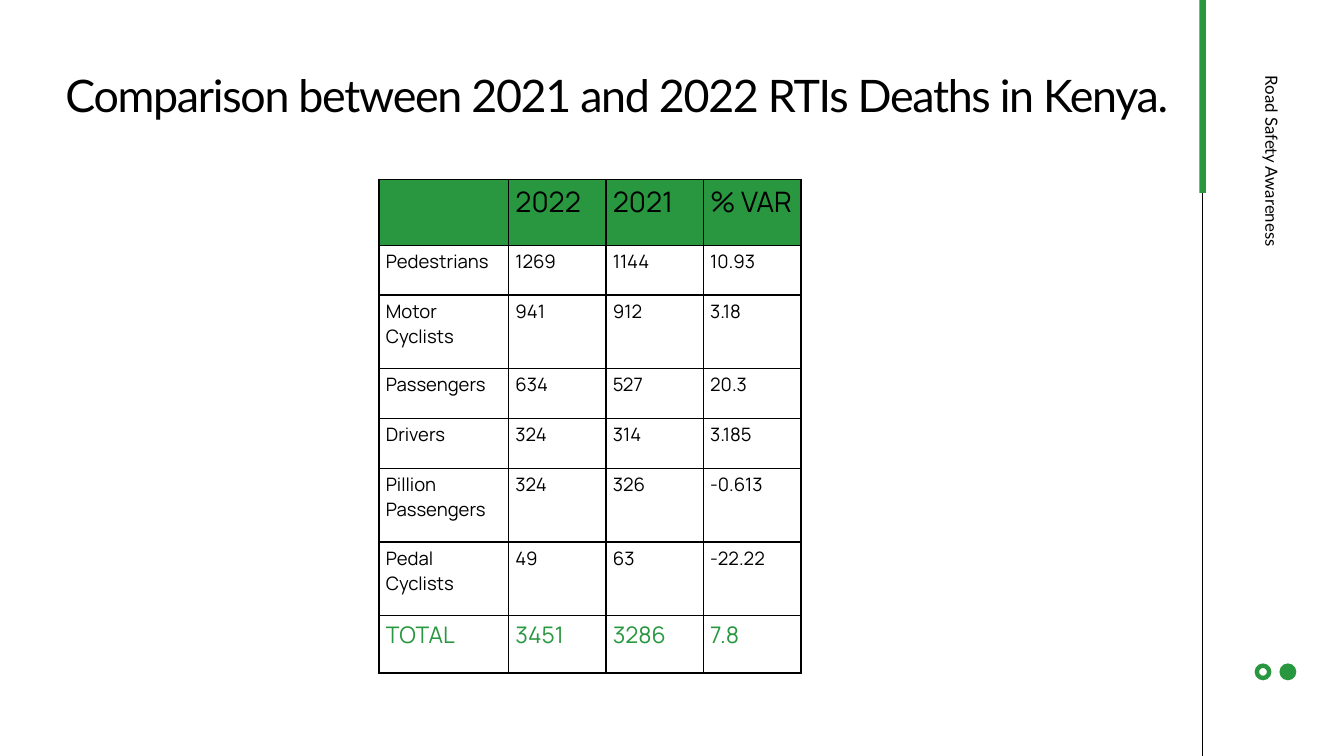
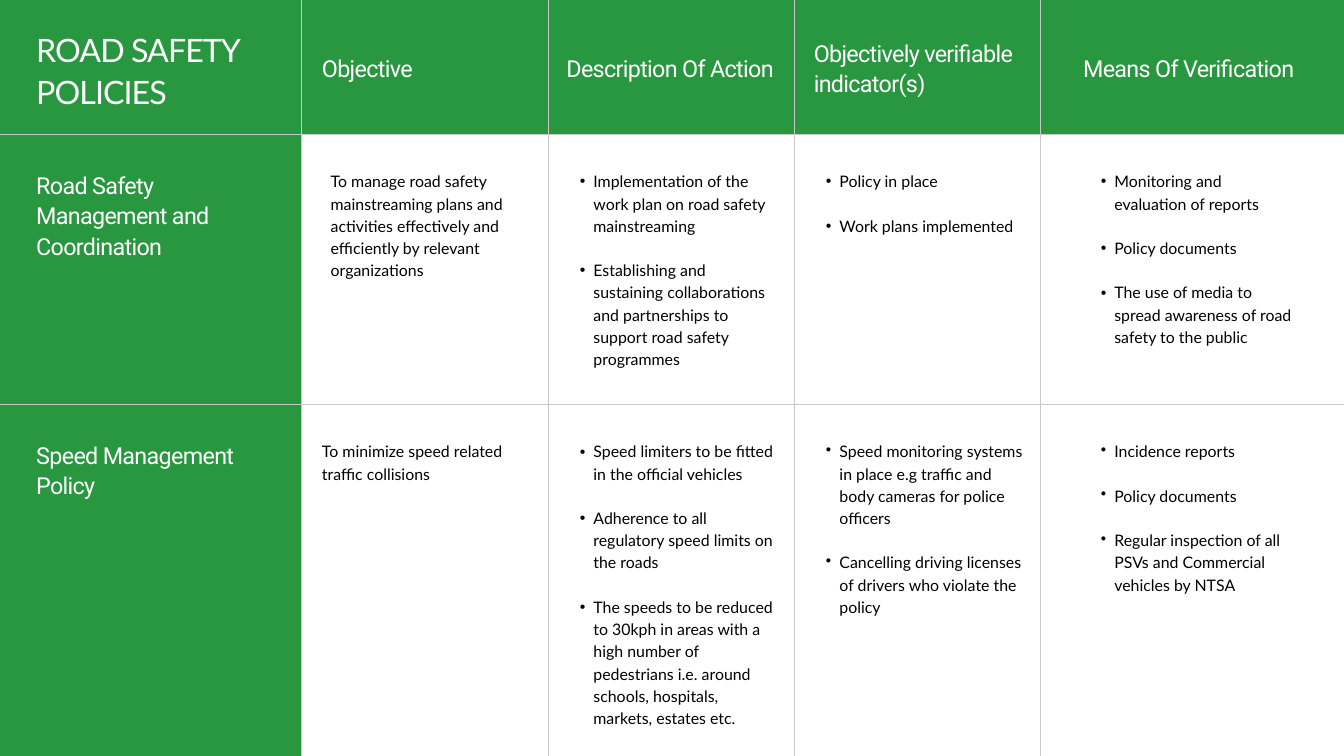
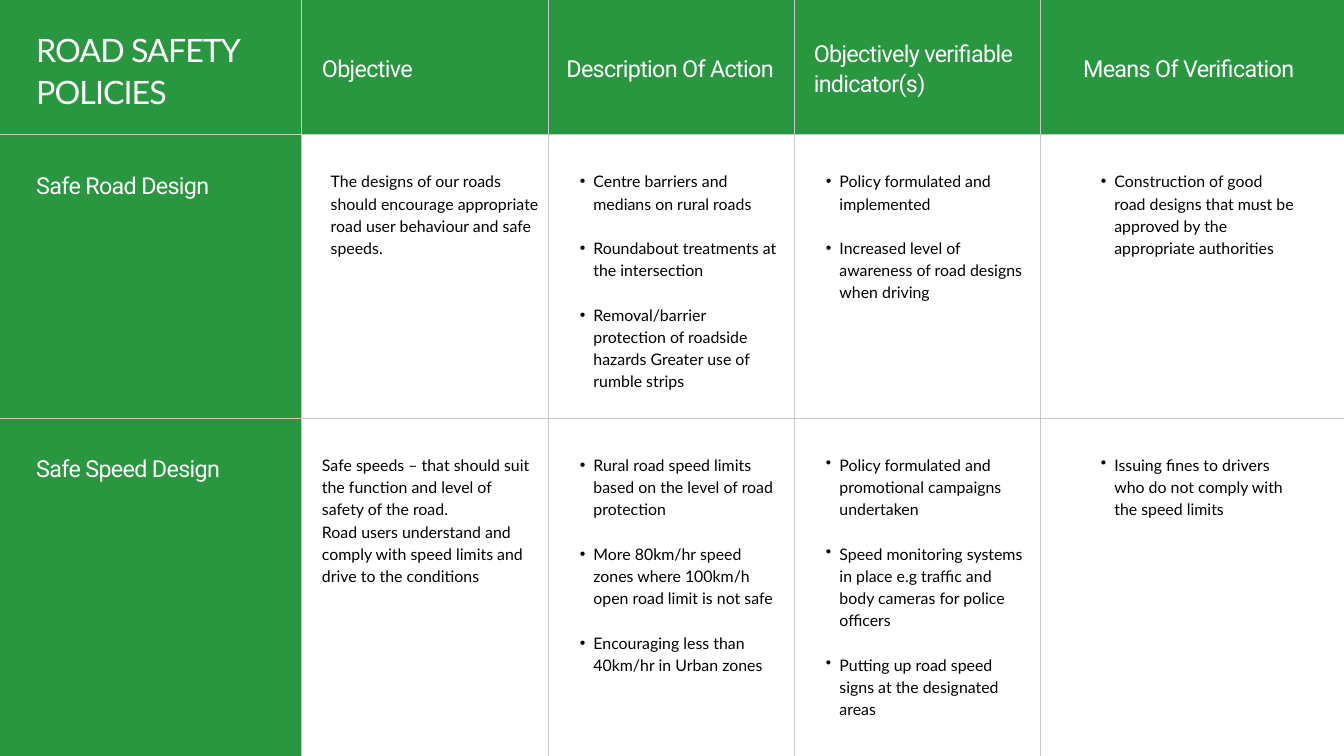
from lxml.etree import SubElement
from pptx import Presentation
from pptx.dml.color import RGBColor
from pptx.enum.shapes import MSO_CONNECTOR, MSO_SHAPE
from pptx.enum.text import MSO_ANCHOR, MSO_AUTO_SIZE, PP_ALIGN
from pptx.oxml.ns import qn
from pptx.util import Cm, Pt

# Content
DEATHS_TITLE = "Comparison between 2021 and 2022 RTIs Deaths in Kenya."
SIDE_LABEL = "Road Safety Awareness"
DEATHS = [
    ("", "2022", "2021", "% VAR"),
    ("Pedestrians", "1269", "1144", "10.93"),
    ("Motor Cyclists", "941", "912", "3.18"),
    ("Passengers", "634", "527", "20.3"),
    ("Drivers", "324", "314", "3.185"),
    ("Pillion Passengers", "324", "326", "-0.613"),
    ("Pedal Cyclists", "49", "63", "-22.22"),
    ("TOTAL", "3451", "3286", "7.8"),
]
POLICY_TITLE = "ROAD SAFETY POLICIES"
# Column heading, line count, left of heading, left of entries
COLUMNS = [
    ("Objective", 1, 12.17, 12.17),
    ("Description Of Action", 1, 21.41, 21.41),
    ("Objectively verifiable indicator(s)", 2, 30.76, 30.71),
    ("Means Of Verification", 1, 40.94, 41.1),
]
# Each policy: name and its line count, then line count and paragraphs per column
POLICY_SLIDES = [
    {"divider": 15.29, "policies": [
        ("Road Safety Management and Coordination", 3, [
            (5, ["To manage road safety mainstreaming plans and activities effectively "
                 "and efficiently by relevant organizations"]),
            (8, ["Implementation of the work plan on road safety mainstreaming",
                 "Establishing and sustaining collaborations and partnerships to "
                 "support road safety programmes"]),
            (3, ["Policy in place", "Work plans implemented"]),
            (8, ["Monitoring and evaluation of reports", "Policy documents",
                 "The use of media to spread awareness of road safety to the public"]),
        ]),
        ("Speed Management Policy", 2, [
            (2, ["To minimize speed related traffic collisions"]),
            (13, ["Speed limiters to be fitted in the official vehicles",
                  "Adherence to all regulatory speed limits on the roads",
                  "The speeds to be reduced to 30kph in areas with a high number of "
                  "pedestrians i.e. around schools, hospitals, markets, estates etc."]),
            (8, ["Speed monitoring systems in place e.g traffic and body cameras for "
                 "police officers",
                 "Cancelling driving licenses of drivers who violate the policy"]),
            (7, ["Incidence reports", "Policy documents",
                 "Regular inspection of all PSVs and Commercial vehicles by NTSA"]),
        ]),
    ]},
    {"divider": 15.8, "policies": [
        ("Safe Road Design", 1, [
            (4, ["The designs of our roads should encourage appropriate road user "
                 "behaviour and safe speeds."]),
            (10, ["Centre barriers and medians on rural roads",
                  "Roundabout treatments at the intersection",
                  "Removal/barrier protection of roadside hazards Greater use of "
                  "rumble strips"]),
            (6, ["Policy formulated and implemented",
                 "Increased level of awareness of road designs when driving"]),
            (4, ["Construction of good road designs that must be approved by the "
                 "appropriate authorities"]),
        ]),
        ("Safe Speed Design", 1, [
            (6, ["Safe speeds – that should suit the function and level of safety of "
                 "the road.",
                 "Road users understand and comply with speed limits and drive to the "
                 "conditions"]),
            (10, ["Rural road speed limits based on the level of road protection",
                  "More 80km/hr speed zones where 100km/h open road limit is not safe",
                  "Encouraging less than 40km/hr in Urban zones"]),
            (12, ["Policy formulated and promotional campaigns undertaken",
                  "Speed monitoring systems in place e.g traffic and body cameras for "
                  "police officers",
                  "Putting up road speed signs at the designated areas"]),
            (3, ["Issuing fines to drivers who do not comply with the speed limits"]),
        ]),
    ]},
]

# Shared style
COLORS = {"green": "299740", "black": "000000", "white": "FFFFFF", "rule": "C8C8C8"}
HEADING = dict(font="Roboto", size=25, color="white", leading=32.5, spacing=-0.7)
ENTRY = dict(font="Lato", size=17, color="black", leading=23.8)
HEADING_LINE, ENTRY_LINE = 1.13, 0.84
SLIDE_W, SLIDE_H = 50.8, 28.58
HEADER_H, LABEL_W, COLUMN_W = 5.08, 11.4, 9.31
ENTRY_W, LABEL_LEFT, ROW_PAD = 7.95, 1.37, 1.3


def rgb(name):
    return RGBColor.from_string(COLORS[name])


def write(frame, paragraphs, *, font, size, color, leading=None, spacing=0,
          align=PP_ALIGN.LEFT, bullet=False):
    for i, text in enumerate(paragraphs):
        paragraph = frame.add_paragraph() if i else frame.paragraphs[0]
        properties = paragraph._p.get_or_add_pPr()
        properties.set("marL", str(Cm(1.02) if bullet else 0))
        properties.set("indent", str(Cm(-0.51) if bullet else 0))
        if bullet:
            paragraph.level = 1
            SubElement(properties, qn("a:buChar"), char="•")
        else:
            SubElement(properties, qn("a:buNone"))
        paragraph.alignment = align
        paragraph.space_before = Pt(leading if bullet and i else 0)
        if leading:
            paragraph.line_spacing = Pt(leading)
        run = paragraph.add_run()
        run.text = text
        run.font.name, run.font.size, run.font.bold = font, Pt(size), False
        run.font.color.rgb = rgb(color)
        if spacing:
            run._r.get_or_add_rPr().set("spc", str(round(spacing * 100)))


def put_text(slide, paragraphs, box, holder=None, **style):
    """Fill a placeholder, brought to the front, or a new text box."""
    area = [Cm(value) for value in box]
    if holder is None:
        holder = slide.shapes.add_textbox(*area)
    else:
        holder.left, holder.top, holder.width, holder.height = area
        holder.element.getparent().append(holder.element)
    frame = holder.text_frame
    frame.word_wrap = True
    frame.auto_size = MSO_AUTO_SIZE.SHAPE_TO_FIT_TEXT
    frame.vertical_anchor = MSO_ANCHOR.TOP
    frame.margin_left = frame.margin_top = frame.margin_right = frame.margin_bottom = 0
    write(frame, paragraphs, **style)
    return holder


def put_shape(slide, kind, box, color):
    shape = slide.shapes.add_shape(kind, *[Cm(value) for value in box])
    shape.shadow.inherit = False
    shape.fill.solid()
    shape.fill.fore_color.rgb = rgb(color)
    shape.line.fill.background()
    return shape


def put_rule(slide, *ends):
    rule = slide.shapes.add_connector(MSO_CONNECTOR.STRAIGHT, *[Cm(end) for end in ends])
    rule.line.color.rgb = rgb("rule")
    rule.line.width = Pt(0.75)
    SubElement(rule.element.spPr, qn("a:effectLst"))


def add_borders(cell):
    properties = cell._tc.get_or_add_tcPr()
    for i, side in enumerate(("lnL", "lnR", "lnT", "lnB")):
        border = properties.makeelement(qn(f"a:{side}"), {"w": str(Pt(1.66))})
        fill = SubElement(border, qn("a:solidFill"))
        SubElement(fill, qn("a:srgbClr"), val=COLORS["black"])
        properties.insert(i, border)


def build_deaths_slide(prs):
    slide = prs.slides.add_slide(prs.slide_layouts[5])

    # Side band
    ring = put_shape(slide, MSO_SHAPE.DONUT, (47.42, 25.08, 0.64, 0.64), "green")
    ring.adjustments[0] = 0.27
    put_shape(slide, MSO_SHAPE.OVAL, (48.36, 25.08, 0.64, 0.64), "green")
    put_shape(slide, MSO_SHAPE.RECTANGLE, (45.44, 0, 0.03, SLIDE_H), "black")
    put_shape(slide, MSO_SHAPE.RECTANGLE, (45.33, 0, 0.25, 7.29), "green")
    side = put_text(slide, [SIDE_LABEL], (43.1, 7.49, 10.11, 0.86),
                    font="Lato", size=18, color="black", leading=25.2)
    side.rotation = 90

    put_text(slide, [DEATHS_TITLE], (2.26, 2.57, 42.11, 2.01), slide.shapes.title,
             font="Lato", size=48, color="black", leading=57.6, spacing=-1.4,
             align=PP_ALIGN.CENTER)

    # Deaths table
    widths = [4.9] + [3.68] * 3
    heights = [2.49, 1.88, 2.79, 1.88, 1.88, 2.79, 2.79, 2.16]
    table = slide.shapes.add_table(len(heights), len(widths), Cm(14.33), Cm(6.78),
                                   Cm(sum(widths)), Cm(sum(heights))).table
    for column, width in zip(table.columns, widths):
        column.width = Cm(width)
    row_styles = {0: (30.2, "black"), len(DEATHS) - 1: (24.5, "green")}
    for r, (values, height) in enumerate(zip(DEATHS, heights)):
        table.rows[r].height = Cm(height)
        size, color = row_styles.get(r, (19.8, "black"))
        for c, value in enumerate(values):
            cell = table.cell(r, c)
            cell.fill.solid()
            cell.fill.fore_color.rgb = rgb("white" if r else "green")
            add_borders(cell)
            if value:
                write(cell.text_frame, [value], font="Manrope", size=size, color=color)


def build_policy_slide(prs, divider, policies):
    slide = prs.slides.add_slide(prs.slide_layouts[4])
    list_holders = iter([p for p in slide.placeholders if p.placeholder_format.idx])

    # Bands and grid rules
    put_shape(slide, MSO_SHAPE.RECTANGLE, (0, 0, SLIDE_W, HEADER_H), "green")
    put_shape(slide, MSO_SHAPE.RECTANGLE, (0, 0, LABEL_W, SLIDE_H), "green")
    for i in range(len(COLUMNS)):
        x = LABEL_W + i * COLUMN_W
        put_rule(slide, x, 0, x, SLIDE_H)
    for y in (HEADER_H, divider):
        put_rule(slide, 0, y, SLIDE_W, y)

    # Title and column headings
    put_text(slide, [POLICY_TITLE], (LABEL_LEFT, 1.01, 8.64, 3.07), slide.shapes.title,
             font="Lato", size=34.5, color="white", leading=44.9, spacing=-1)
    for heading, lines, left, _ in COLUMNS:
        height = lines * HEADING_LINE
        put_text(slide, [heading], (left, 2.51 - height / 2, 8.25, height), **HEADING)

    # Policy rows
    for r, (policy, lines, entries) in enumerate(policies):
        top = (HEADER_H, divider)[r] + ROW_PAD
        put_text(slide, [policy], (LABEL_LEFT, top, 7.6, lines * HEADING_LINE), **HEADING)
        for c, (entry_lines, paragraphs) in enumerate(entries):
            left = COLUMNS[c][3]
            if (r, c) == (0, 0):
                left += 0.33
            put_text(slide, paragraphs, (left, top, ENTRY_W, entry_lines * ENTRY_LINE),
                     next(list_holders, None) if c else None, bullet=c > 0, **ENTRY)


def main():
    prs = Presentation()
    prs.slide_width, prs.slide_height = Cm(SLIDE_W), Cm(SLIDE_H)
    build_deaths_slide(prs)
    for content in POLICY_SLIDES:
        build_policy_slide(prs, **content)
    prs.save("out.pptx")


if __name__ == "__main__":
    main()
